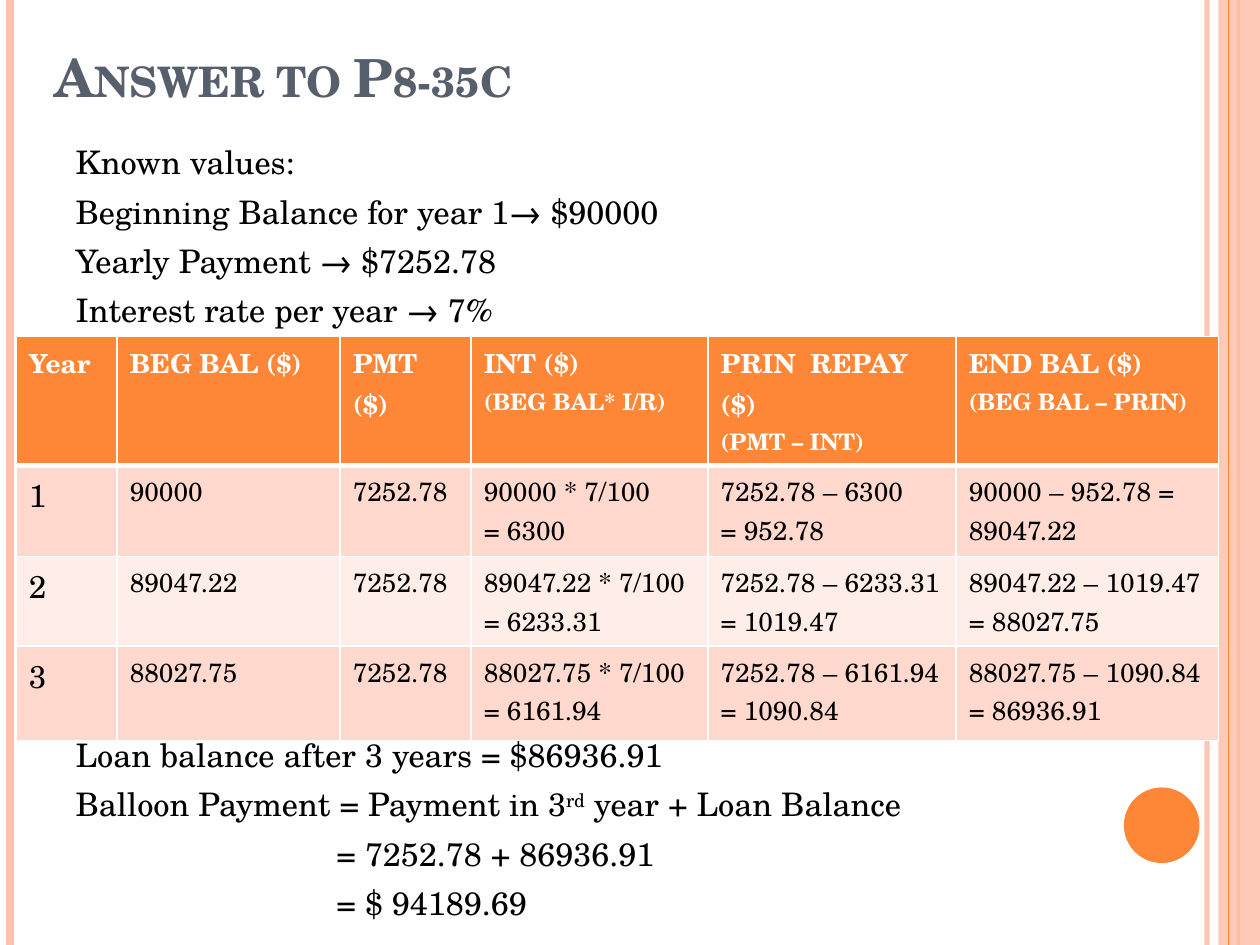
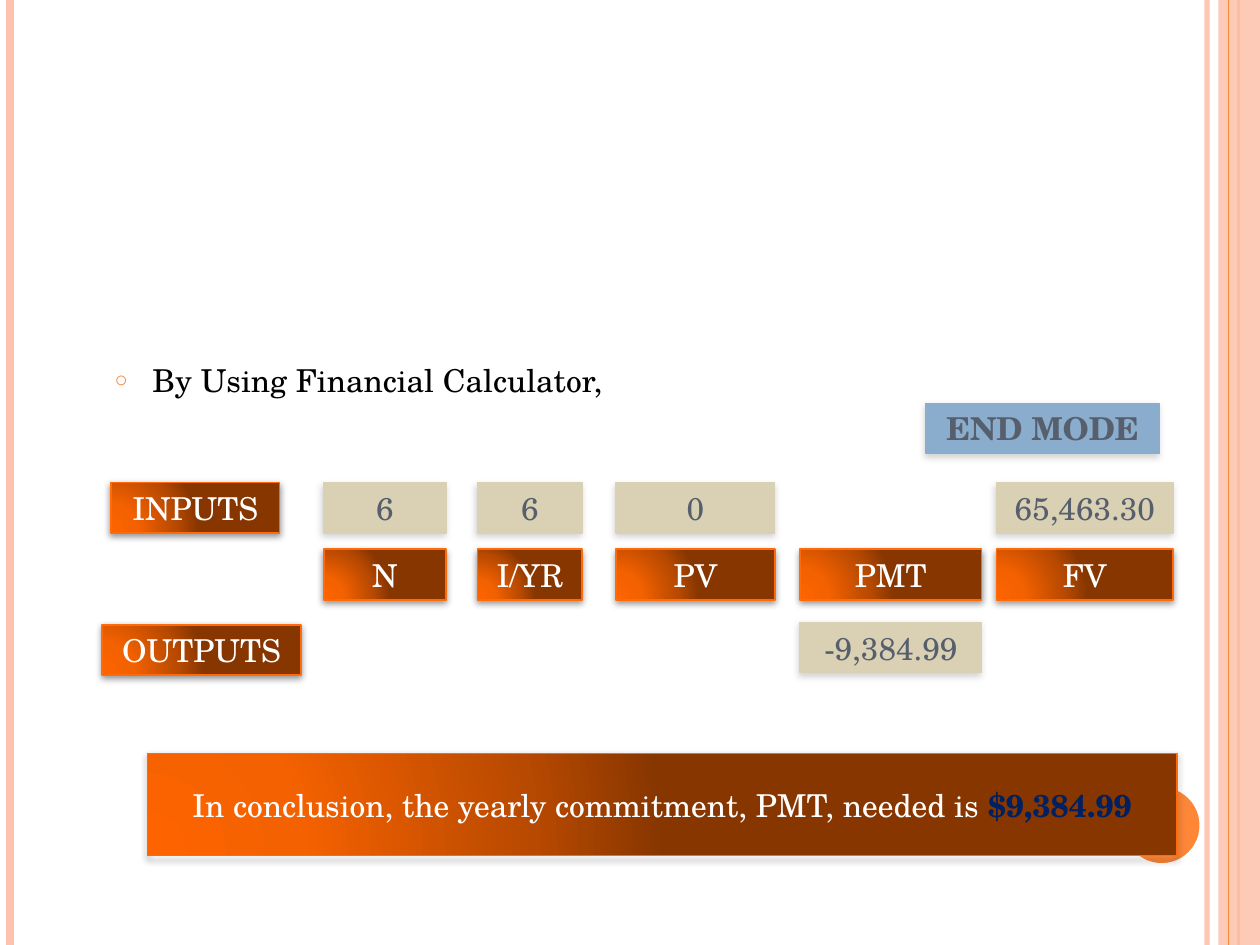
from pptx import Presentation
from pptx.dml.color import RGBColor
from pptx.enum.shapes import MSO_CONNECTOR as Conn, MSO_SHAPE as Geom
from pptx.enum.text import MSO_ANCHOR as Anchor, MSO_AUTO_SIZE as Auto, PP_ALIGN as Align
from pptx.oxml import parse_xml
from pptx.oxml.ns import qn
from pptx.util import Inches, Pt
from lxml import etree

# Shared look
FONT = "TeX Gyre Schola"
ORANGE, PEACH, SLATE = "FE8637", "FEC3AE", "575F6D"
WHITE, BLACK, NAVY = "FFFFFF", "000000", "002060"
SAND, BLUE, EDGE = "DAD1B5", "8AADCD", "FF6B0A"
BANDS = ("FFD9CE", "FFEDE8")
STOPS = ((0, "FD6400"), (30, "F46100"), (75, "B74900"), (100, "873600"))
DARK = (BLACK, 42, 4, 1.6, 90)
SOFT = ("808080", 35, 4, 2, 110)
SPACE = 'xmlns:a="http://schemas.openxmlformats.org/drawingml/2006/main"'

# Grid of 100 columns and 75 rows over the slide
COLS, ROWS = 100, 75
UNIT = Inches(10) // COLS


def grid(*cells):
    return [round(cell * UNIT) for cell in cells]


def hue(code):
    return RGBColor.from_string(code)


def sub(node, tag, **attrs):
    child = etree.SubElement(node, qn(tag))
    for key, value in attrs.items():
        child.set(key, str(value))
    return child


def fade(part, alpha):
    """Make every plain colour below part partly transparent."""
    for clr in part.iter(qn("a:srgbClr")):
        sub(clr, "a:alpha", val=alpha * 1000)


# Text
def add_run(para, text, size, color, bold=False, cap=None, base=None):
    run = para.add_run()
    run.text = text
    font = run.font
    font.name, font.size, font.bold = FONT, Pt(size), bold
    font.color.rgb = hue(color)
    props = font._element
    if cap:
        props.set("cap", cap)
    if base:
        props.set("baseline", str(base * 1000))


def next_para(frame, index):
    return frame.add_paragraph() if index else frame.paragraphs[0]


def place(holder, cells, anchor):
    holder.left, holder.top, holder.width, holder.height = grid(*cells)
    frame = holder.text_frame
    frame.auto_size, frame.word_wrap = Auto.NONE, True
    frame.vertical_anchor = anchor
    return frame


def set_list(para, before, left=0, hang=0, mark=None):
    para.alignment = Align.LEFT
    para.space_before, para.line_spacing = Pt(before), Pt(22.2)
    props = para._p.get_or_add_pPr()
    props.set("marL", str(Inches(left)))
    props.set("indent", str(-Inches(hang)))
    if mark:
        sub(sub(props, "a:buClr"), "a:srgbClr", val=ORANGE)
        sub(props, "a:buSzPct", val=70000)
        sub(props, "a:buChar", char=mark)
    else:
        sub(props, "a:buNone")


# Shapes
def add_line(slide, col, color, width):
    x, end = grid(col, ROWS)
    line = slide.shapes.add_connector(Conn.STRAIGHT, x, 0, x, end)
    line.line.color.rgb, line.line.width = hue(color), Pt(width)
    sub(line._element.spPr, "a:effectLst")
    return line


def add_flat(slide, geom, cells, color):
    shape = slide.shapes.add_shape(geom, *grid(*cells))
    shape.shadow.inherit = False
    shape.fill.solid()
    shape.fill.fore_color.rgb = hue(color)
    shape.line.fill.background()
    return shape


def add_glow(shape):
    stops = "".join(f'<a:gs pos="{pos * 1000}"><a:srgbClr val="{code}"/></a:gs>'
                    for pos, code in STOPS)
    glow = parse_xml(
        f'<a:gradFill {SPACE} rotWithShape="1"><a:gsLst>{stops}</a:gsLst>'
        '<a:path path="circle"><a:fillToRect l="5000" t="100000" r="120000" '
        'b="10000"/></a:path></a:gradFill>')
    props = shape._element.spPr
    props.replace(props.find(qn("a:solidFill")), glow)


def add_shade(shape, color, alpha, blur, dist, angle):
    effects = shape._element.spPr.find(qn("a:effectLst"))
    shade = sub(effects, "a:outerShdw", blurRad=Pt(blur), dist=Pt(dist),
                dir=angle * 60000, rotWithShape=0)
    sub(shade, "a:srgbClr", val=color)
    fade(shade, alpha)


def add_key(slide, cells, runs, color=None):
    """A shaded box: glowing orange, or flat when a colour is given."""
    shape = add_flat(slide, Geom.RECTANGLE, cells, color or ORANGE)
    shape.line.color.rgb = hue(color or EDGE)
    shape.line.width = Pt(0.75 if color else 1)
    add_shade(shape, *(SOFT if color else DARK))
    if not color:
        add_glow(shape)
    frame = shape.text_frame
    frame.word_wrap, frame.vertical_anchor = True, Anchor.MIDDLE
    para = frame.paragraphs[0]
    para.alignment = Align.CENTER
    for text, ink, bold in runs:
        add_run(para, text, 18, ink, bold)


def add_frame(deck, slide):
    """Draw the side bands once and hand them to the master."""
    pale = add_line(slide, 95.8, PEACH, 3)
    fade(pale._element, 93)
    left = add_line(slide, 0.8, PEACH, 4.5)
    mid = add_line(slide, 98.3, ORANGE, 1.5)
    band = add_flat(slide, Geom.RECTANGLE, (96.7, 0, 3.3, ROWS), PEACH)
    fade(band._element, 87)
    thin = add_line(slide, 97.5, ORANGE, 0.75)
    dot = add_flat(slide, Geom.OVAL, (89.2, 62.5, 6, 6), ORANGE)
    tree = deck.slide_master.shapes.element
    for part in (pale, left, mid, band, thin, dot):
        tree.append(part._element)


# Table
def set_edges(cell, under):
    props = cell._tc.get_or_add_tcPr()
    for spot, side in enumerate("LRTB"):
        edge = parse_xml(
            f'<a:ln{side} {SPACE} w="{Pt(under if side == "B" else 1)}">'
            f'<a:solidFill><a:srgbClr val="{WHITE}"/></a:solidFill></a:ln{side}>')
        props.insert(spot, edge)


def add_loan(slide, rows):
    widths, heights = (8, 17.7, 10.4, 18.8, 19.7, 20.8), (10.1, 7.2, 7.1, 7.5)
    spot = grid(1.3, 26.7, sum(widths), sum(heights))
    table = slide.shapes.add_table(len(rows), len(widths), *spot).table
    for col, width in zip(table.columns, grid(*widths)):
        col.width = width
    for row, height in zip(table.rows, grid(*heights)):
        row.height = height
    for r, row in enumerate(rows):
        head = r == 0
        for c, text in enumerate(row):
            cell = table.cell(r, c)
            cell.fill.solid()
            cell.fill.fore_color.rgb = hue(ORANGE if head else BANDS[(r - 1) % 2])
            set_edges(cell, 3 if head else 1)
            for i, part in enumerate(text.split("\n")):
                size = 13 if head and i else 18 if not head and c == 0 else 15
                add_run(next_para(cell.text_frame, i), part, size,
                        WHITE if head else BLACK, head)


# Slides
def fill_answer(slide):
    frame = place(slide.shapes.title, (3.3, 2.8, 81.7, 6.3), Anchor.BOTTOM)
    frame.paragraphs[0].alignment = Align.LEFT
    add_run(frame.paragraphs[0], "Answer to P8-35c", 30, SLATE, True, cap="small")

    frame = place(slide.placeholders[1], (5, 10.8, 81.7, 60), Anchor.TOP)
    items = (  # space before, left indent, runs
        (2, 0, ["Known values:"]),
        (6, 0, ["Beginning Balance for year 1→ $90000"]),
        (6, 0, ["Yearly Payment → $7252.78"]),
        (6, 0, ["Interest rate per year → 7%"]),
        (232, 0, ["Loan balance after 3 years = $86936.91"]),
        (6, 0, ["Balloon Payment = Payment in 3", "rd", " year + Loan Balance"]),
        (6, 2.07, ["= 7252.78 + 86936.91"]),
        (6, 2.07, ["= $ 94189.69"]),
    )
    for i, (before, left, runs) in enumerate(items):
        para = next_para(frame, i)
        set_list(para, before, left)
        for text in runs:
            add_run(para, text, 18.5, BLACK, base=30 if text == "rd" else None)

    add_loan(slide, (
        ("Year", "BEG BAL ($)", "PMT ($)", "INT ($)\n(BEG BAL* I/R)",
         "PRIN  REPAY ($)\n(PMT – INT)", "END BAL ($)\n(BEG BAL – PRIN)"),
        ("1", "90000", "7252.78", "90000 * 7/100\n= 6300",
         "7252.78 – 6300\n= 952.78", "90000 – 952.78 = 89047.22"),
        ("2", "89047.22", "7252.78", "89047.22 * 7/100\n= 6233.31",
         "7252.78 – 6233.31\n= 1019.47", "89047.22 – 1019.47 = 88027.75"),
        ("3", "88027.75", "7252.78", "88027.75 * 7/100\n= 6161.94",
         "7252.78 – 6161.94\n= 1090.84", "88027.75 – 1090.84\n= 86936.91"),
    ))


def fill_calc(slide):
    title = slide.shapes.title._element
    title.getparent().remove(title)
    frame = place(slide.placeholders[1], (8.1, 28.1, 83.8, 4.4), Anchor.TOP)
    para = frame.paragraphs[0]
    set_list(para, 2, 0.3, 0.3, "○")
    add_run(para, "By Using Financial Calculator,", 18, BLACK)

    add_key(slide, (11.7, 59.8, 81.7, 8.1), (
        ("In conclusion, the yearly commitment, PMT, needed is ", WHITE, False),
        ("$9,384.99", NAVY, True)))
    add_key(slide, (73.5, 32, 18.5, 4), [("END MODE", SLATE, True)], BLUE)

    # Calculator keys with the value entered above or returned below
    tall, above, keys, below = 4, 38.3, 43.6, 49.4
    add_key(slide, (8.8, above, 13.4, tall), [("INPUTS", WHITE, False)])
    add_key(slide, (8.1, below + 0.2, 15.8, tall), [("OUTPUTS", WHITE, False)])
    for col, wide, name, value, row in (
            (25.7, 9.7, "N", "6", above),
            (37.9, 8.3, "I/YR", "6", above),
            (48.9, 12.6, "PV", "0", above),
            (63.5, 14.4, "PMT", "-9,384.99", below),
            (79.1, 14, "FV", "65,463.30", above)):
        add_key(slide, (col, keys, wide, tall), [(name, WHITE, False)])
        add_key(slide, (col, row, wide, tall), [(value, SLATE, False)], SAND)


def main():
    deck = Presentation()
    deck.slide_width, deck.slide_height = grid(COLS, ROWS)
    answer, calc = [deck.slides.add_slide(deck.slide_layouts[1]) for _ in range(2)]
    add_frame(deck, answer)
    fill_answer(answer)
    fill_calc(calc)
    deck.save("out.pptx")


if __name__ == "__main__":
    main()
